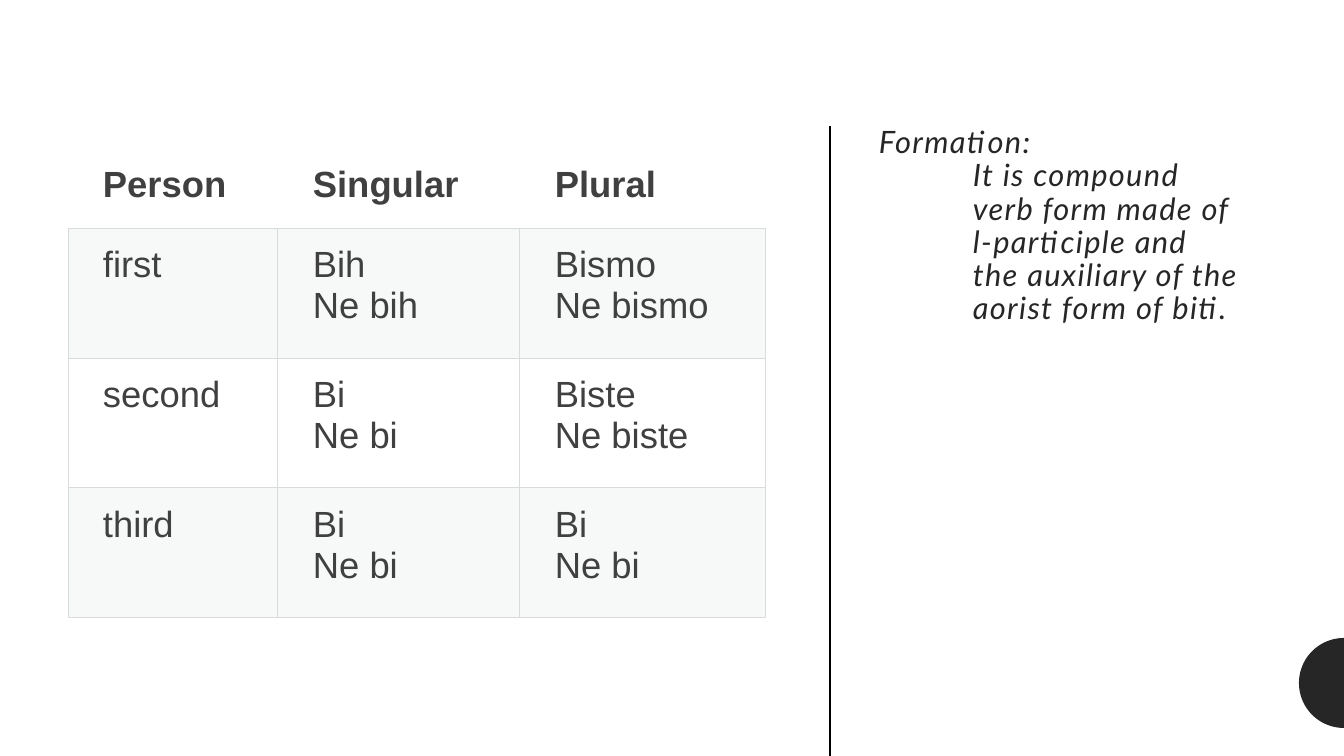
from math import cos, pi, sin

from lxml.etree import SubElement
from pptx import Presentation
from pptx.dml.color import RGBColor
from pptx.enum.shapes import MSO_CONNECTOR
from pptx.enum.text import MSO_ANCHOR
from pptx.oxml import parse_xml
from pptx.oxml.ns import nsdecls, qn
from pptx.util import Pt

PX = 914400 / 100.8


def rgb(value):
    return RGBColor.from_string(value)


def write(frame, text, size, font, color, bold=False, italic=False, tracking=0, line=1.0, hanging=0):
    frame.word_wrap = True
    for index, words in enumerate(text.split("\n")):
        paragraph = frame.paragraphs[0] if index == 0 else frame.add_paragraph()
        paragraph.text = words
        paragraph.line_spacing = line
        if hanging:
            properties = paragraph._p.get_or_add_pPr()
            properties.set("marL", str(round(hanging * PX)))
            properties.set("indent", str(round(-hanging * PX)))
        for run in paragraph.runs:
            run.font.size = Pt(size)
            run.font.name = font
            run.font.bold = bold
            run.font.italic = italic
            run.font.color.rgb = rgb(color)
            if tracking:
                run._r.get_or_add_rPr().set("spc", str(tracking * 100))


prs = Presentation()
prs.slide_width = round(1344 * PX)
prs.slide_height = round(756 * PX)
slide = prs.slides.add_slide(prs.slide_layouts[6])
slide.background.fill.solid()
slide.background.fill.fore_color.rgb = rgb("FFFFFF")

formation = slide.shapes.add_textbox(*[round(n * PX) for n in (869, 122, 382, 347)])
write(
    formation.text_frame,
    "Formation:\vIt is compound verb form made of l-participle and the auxiliary of the aorist form of biti.",
    size=22, font="Lato", color="262626", italic=True, tracking=1, line=0.9, hanging=94,
)

divider = slide.shapes.add_connector(
    MSO_CONNECTOR.STRAIGHT, *[round(n * PX) for n in (830, 126, 830, 756)]
)
divider.line.color.rgb = rgb("000000")
divider.line.width = Pt(1.5)
SubElement(divider._element.spPr, qn("a:effectLst"))

radius = 45
arc = [
    (round((1344 - radius * sin(pi * step / 48)) * PX), round((683 - radius * cos(pi * step / 48)) * PX))
    for step in range(49)
]
outline = slide.shapes.build_freeform(*arc[0])
outline.add_line_segments(arc[1:], close=True)
half_disc = outline.convert_to_shape()
half_disc.shadow.inherit = False
half_disc.fill.solid()
half_disc.fill.fore_color.rgb = rgb("262626")
half_disc.line.fill.background()

conjugation = [
    ["Person", "Singular", "Plural"],
    ["first", "Bih\nNe bih", "Bismo\nNe bismo"],
    ["second", "Bi\nNe bi", "Biste\nNe biste"],
    ["third", "Bi\nNe bi", "Bi\nNe bi"],
]
column_widths = [210, 242, 246]
row_heights = [86, 130, 130, 130]
table = slide.shapes.add_table(
    4, 3, *[round(n * PX) for n in (68, 142, sum(column_widths), sum(row_heights))]
).table
table.first_row = False
table.horz_banding = False
for column, width in zip(table.columns, column_widths):
    column.width = round(width * PX)

for row_index, forms in enumerate(conjugation):
    table.rows[row_index].height = round(row_heights[row_index] * PX)
    header = row_index == 0
    for column_index, form in enumerate(forms):
        cell = table.cell(row_index, column_index)
        cell.margin_left = round(35 * PX)
        cell.margin_right = round(32 * PX)
        cell.margin_top = cell.margin_bottom = round(17 * PX)
        cell.vertical_anchor = MSO_ANCHOR.MIDDLE if header else MSO_ANCHOR.TOP
        write(cell.text_frame, form, size=26, font="Arial", color="404040", bold=header)
        if row_index % 2:
            cell.fill.solid()
            cell.fill.fore_color.rgb = rgb("F7F8F8")
        else:
            cell.fill.background()
        for position, side in enumerate("LRTB"):
            visible = not header or side == "B"
            paint = '<a:solidFill><a:srgbClr val="D8DCDC"/></a:solidFill>' if visible else "<a:noFill/>"
            border = parse_xml(f'<a:ln{side} {nsdecls("a")} w="9525">{paint}</a:ln{side}>')
            cell._tc.get_or_add_tcPr().insert(position, border)

prs.save("out.pptx")
